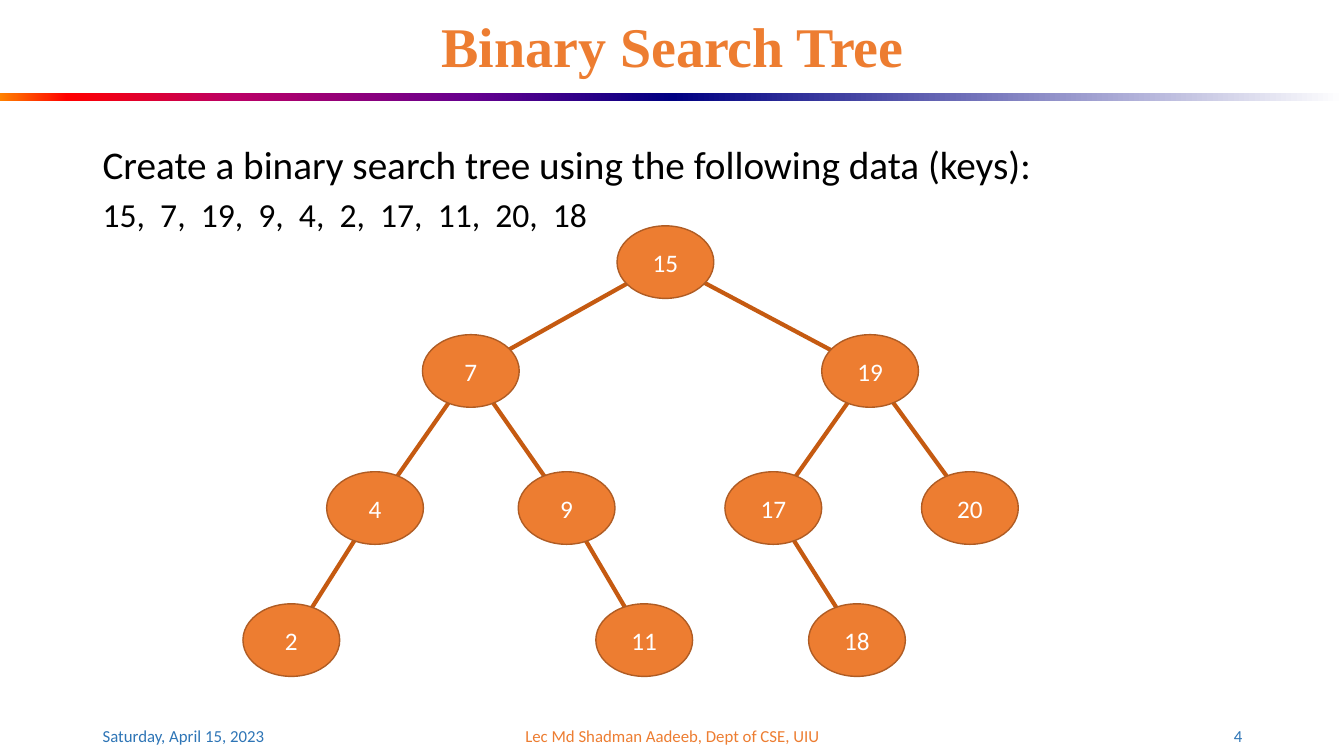
from lxml import etree
from pptx import Presentation
from pptx.dml.color import RGBColor
from pptx.enum.shapes import MSO_CONNECTOR, MSO_SHAPE
from pptx.enum.text import MSO_ANCHOR, PP_ALIGN
from pptx.oxml.ns import qn
from pptx.util import Inches, Pt

LEFT, CENTER, RIGHT = PP_ALIGN.LEFT, PP_ALIGN.CENTER, PP_ALIGN.RIGHT
TOP, MIDDLE = MSO_ANCHOR.TOP, MSO_ANCHOR.MIDDLE
OVAL, RECTANGLE = MSO_SHAPE.OVAL, MSO_SHAPE.RECTANGLE
STRAIGHT = MSO_CONNECTOR.STRAIGHT

ORANGE = RGBColor(0xED, 0x7D, 0x31)
EDGE_ORANGE = RGBColor(0xC5, 0x5A, 0x11)
OUTLINE_ORANGE = RGBColor(0xAF, 0x5C, 0x24)
BLUE = RGBColor(0x2E, 0x75, 0xB6)
NAVY = RGBColor(0x00, 0x00, 0x82)
BLACK = RGBColor(0x00, 0x00, 0x00)
WHITE = RGBColor(0xFF, 0xFF, 0xFF)
LEFT_STOPS = [
    (0, RGBColor(0xFF, 0x82, 0x00)),
    (10, RGBColor(0xFF, 0x00, 0x00)),
    (35, RGBColor(0xBA, 0x00, 0x66)),
    (70, RGBColor(0x66, 0x00, 0x8F)),
    (100, NAVY),
]
RIGHT_STOPS = [(0, NAVY), (100, WHITE)]

SLIDE_WIDTH, SLIDE_HEIGHT = 13.33, 7.5
MARGIN, CONTENT_WIDTH = 0.92, 11.5
NODE_WIDTH, NODE_HEIGHT = 0.96, 0.72
KEYS = [15, 7, 19, 9, 4, 2, 17, 11, 20, 18]
LEVEL_Y = [2.6, 3.68, 5.04, 6.35]
# key: (horizontal centre, level, parent key)
TREE = {
    15: (6.6, 0, None),
    7: (4.67, 1, 15),
    19: (8.63, 1, 15),
    4: (3.72, 2, 7),
    9: (5.62, 2, 7),
    17: (7.67, 2, 19),
    20: (9.62, 2, 19),
    2: (2.89, 3, 4),
    11: (6.39, 3, 9),
    18: (8.5, 3, 17),
}


def write_paragraph(paragraph, text, size, color, alignment=LEFT, name="Calibri", bold=False):
    paragraph.text = text
    paragraph.alignment = alignment
    paragraph.font.color.rgb = color
    font_format = {"size": Pt(size), "name": name, "bold": bold}
    for attribute, value in font_format.items():
        setattr(paragraph.font, attribute, value)


def add_text_box(slide, box, anchor):
    """Return the text frame of a new wrapping text box."""
    text_frame = slide.shapes.add_textbox(*map(Inches, box)).text_frame
    text_frame.word_wrap = True
    text_frame.vertical_anchor = anchor
    return text_frame


def add_title(slide, text):
    title = slide.shapes.title
    place = {"left": MARGIN, "top": 0.16, "width": CONTENT_WIDTH, "height": 0.66}
    for attribute, value in place.items():
        setattr(title, attribute, Inches(value))
    title.text_frame.vertical_anchor = MIDDLE
    paragraph = title.text_frame.paragraphs[0]
    write_paragraph(paragraph, text, 40, ORANGE, CENTER, "Times New Roman", True)
    paragraph.line_spacing = 0.9


def add_gradient_bar(slide, left, stops):
    bar = slide.shapes.add_shape(
        RECTANGLE, Inches(left), Inches(0.92), Inches(SLIDE_WIDTH / 2), Inches(0.08))
    bar.shadow.inherit = False
    bar.line.fill.background()
    bar.fill.gradient()
    bar.fill.gradient_angle = 0
    stop_list = bar._element.spPr.find(qn("a:gradFill")).find(qn("a:gsLst"))
    for stop in list(stop_list):
        stop_list.remove(stop)
    for percent, color in stops:
        stop = etree.SubElement(stop_list, qn("a:gs"), pos=str(percent * 1000))
        etree.SubElement(stop, qn("a:srgbClr"), val=str(color))


def add_task(slide):
    text_frame = add_text_box(slide, (MARGIN, 1.34, CONTENT_WIDTH, 1.19), TOP)
    write_paragraph(text_frame.paragraphs[0],
                    "Create a binary search tree using the following data (keys):", 28, BLACK)
    key_line = text_frame.add_paragraph()
    write_paragraph(key_line, ",  ".join(map(str, KEYS)), 24, BLACK)
    key_line.space_before = Pt(4.8)


def add_footer(slide, left, width, text, color, alignment):
    text_frame = add_text_box(slide, (left, 7.1, width, 0.4), MIDDLE)
    write_paragraph(text_frame.paragraphs[0], text, 12, color, alignment)


def node_center(key):
    x, level, _ = TREE[key]
    return x, LEVEL_Y[level]


def add_edge(slide, parent, child):
    ends = node_center(parent) + node_center(child)
    edge = slide.shapes.add_connector(STRAIGHT, *map(Inches, ends))
    edge.line.color.rgb = EDGE_ORANGE
    edge.line.width = Pt(3)
    etree.SubElement(edge._element.spPr, qn("a:effectLst"))


def add_node(slide, key):
    x, y = node_center(key)
    box = (x - NODE_WIDTH / 2, y - NODE_HEIGHT / 2, NODE_WIDTH, NODE_HEIGHT)
    node = slide.shapes.add_shape(OVAL, *map(Inches, box))
    node.shadow.inherit = False
    node.fill.solid()
    node.fill.fore_color.rgb = ORANGE
    node.line.color.rgb = OUTLINE_ORANGE
    node.line.width = Pt(1)
    node.text_frame.vertical_anchor = MIDDLE
    write_paragraph(node.text_frame.paragraphs[0], str(key), 18, WHITE, CENTER)


def main():
    presentation = Presentation()
    presentation.slide_width = Inches(SLIDE_WIDTH)
    presentation.slide_height = Inches(SLIDE_HEIGHT)
    slide = presentation.slides.add_slide(presentation.slide_layouts[5])

    add_gradient_bar(slide, 0, LEFT_STOPS)
    add_gradient_bar(slide, SLIDE_WIDTH / 2, RIGHT_STOPS)
    add_title(slide, "Binary Search Tree")
    add_task(slide)
    add_footer(slide, MARGIN, 3, "Saturday, April 15, 2023", BLUE, LEFT)
    add_footer(slide, 4.42, 4.5, "Lec Md Shadman Aadeeb, Dept of CSE, UIU", ORANGE, CENTER)
    add_footer(slide, 9.42, 3, "4", BLUE, RIGHT)

    for key, (_, _, parent) in TREE.items():
        if parent is not None:
            add_edge(slide, parent, key)
    for key in KEYS:
        add_node(slide, key)

    presentation.save("out.pptx")


if __name__ == "__main__":
    main()
